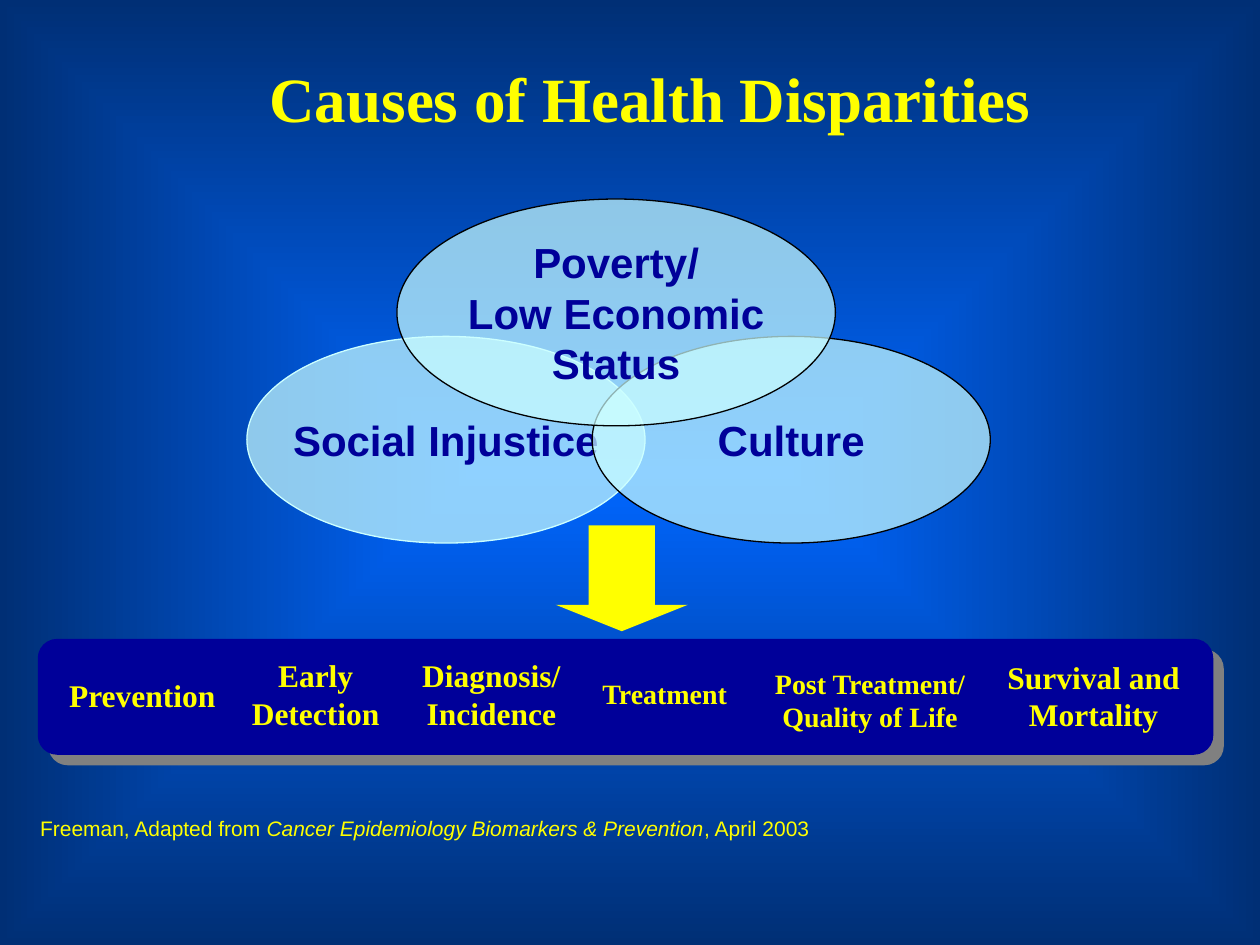
from lxml.etree import SubElement
from pptx import Presentation
from pptx.dml.color import RGBColor
from pptx.enum.shapes import MSO_SHAPE
from pptx.enum.text import MSO_ANCHOR, PP_ALIGN
from pptx.oxml import parse_xml
from pptx.oxml.ns import nsdecls, qn
from pptx.util import Inches, Pt

YELLOW, NAVY, PALE, BLACK = "FFFF00", "000099", "CCFFFF", "000000"
SERIF, SANS = "Times New Roman", "Arial"

TITLE = "Causes of Health Disparities"
# text, left, top, width, height, outline
CAUSES = [
    ("Social Injustice", 1.96, 2.67, 3.16, 1.64, PALE),
    ("Culture", 4.7, 2.67, 3.16, 1.64, BLACK),
    ("Poverty/\nLow Economic\nStatus", 3.15, 1.58, 3.48, 1.8, BLACK),
]
# text, left, top, width, height, size
CARE_STAGES = [
    ("Prevention", 0.45, 5.32, 1.58, 0.4, 18),
    ("Early Detection", 1.85, 5.16, 1.31, 0.7, 18),
    ("Diagnosis/\nIncidence", 2.91, 5.16, 1.98, 0.7, 18),
    ("Treatment", 4.62, 5.32, 1.31, 0.37, 16),
    ("Post Treatment/\nQuality of Life", 5.96, 5.24, 1.89, 0.64, 16),
    ("Survival and Mortality", 7.81, 5.17, 1.74, 0.7, 18),
]
CITATION = [
    ("Freeman, Adapted from ", False),
    ("Cancer Epidemiology Biomarkers & Prevention", True),
    (", April 2003", False),
]


def rgb(code):
    return RGBColor.from_string(code)


def add_run(paragraph, text, font, size, color, bold=False, italic=False):
    run = paragraph.add_run()
    run.text = text
    run.font.name, run.font.size = font, Pt(size)
    run.font.bold, run.font.italic = bold, italic
    run.font.color.rgb = rgb(color)


def add_lines(frame, text, font, size, color, align=PP_ALIGN.CENTER):
    """Fill one bold paragraph, with a line break at each newline."""
    paragraph = frame.paragraphs[0]
    paragraph.alignment = align
    for index, line in enumerate(text.split("\n")):
        if index:
            paragraph.add_line_break()
        add_run(paragraph, line, font, size, color, bold=True)


def add_solid(slide, preset, box, fill, outline=None):
    shape = slide.shapes.add_shape(preset, *map(Inches, box))
    shape.shadow.inherit = False
    shape.fill.solid()
    shape.fill.fore_color.rgb = rgb(fill)
    if outline:
        shape.line.color.rgb = rgb(outline)
        shape.line.width = Pt(0.75)
    else:
        shape.line.fill.background()
    return shape


def add_label(slide, box):
    frame = slide.shapes.add_textbox(*map(Inches, box)).text_frame
    frame.word_wrap = True
    return frame


def set_background(slide, center, edge):
    """Rectangular gradient from the slide's center to its edges."""
    slide.background.fill.gradient()
    properties = slide.background._cSld.bg.bgPr
    properties.replace(properties.find(qn("a:gradFill")), parse_xml(
        f'<a:gradFill {nsdecls("a")} rotWithShape="0"><a:gsLst>'
        f'<a:gs pos="0"><a:srgbClr val="{center}"/></a:gs>'
        f'<a:gs pos="100000"><a:srgbClr val="{edge}"/></a:gs></a:gsLst>'
        '<a:path path="rect"><a:fillToRect l="50000" t="50000" r="50000" b="50000"/>'
        '</a:path></a:gradFill>'))


def add_hard_shadow(shape, color, distance):
    effects = shape._element.spPr.find(qn("a:effectLst"))
    shadow = SubElement(effects, qn("a:outerShdw"), dist=str(int(Pt(distance))),
                        dir="2700000", algn="ctr", rotWithShape="0")
    SubElement(shadow, qn("a:srgbClr"), val=color)


def set_opacity(shape, percent):
    color = shape._element.spPr.find(qn("a:solidFill")).find(qn("a:srgbClr"))
    SubElement(color, qn("a:alpha"), val=str(percent * 1000))


def main():
    deck = Presentation()
    deck.slide_width, deck.slide_height = Inches(10), Inches(7.5)
    slide = deck.slides.add_slide(deck.slide_layouts[5])
    set_background(slide, "0066FF", "002F75")

    title = slide.shapes.title
    title.left, title.top = Inches(1.96), Inches(0.42)
    title.width, title.height = Inches(6.4), Inches(0.7)
    add_lines(title.text_frame, TITLE, SERIF, 36, YELLOW)

    bar = add_solid(slide, MSO_SHAPE.FLOWCHART_ALTERNATE_PROCESS,
                    (0.3, 5.07, 9.33, 0.92), NAVY)
    add_hard_shadow(bar, "808080", 8.5)
    for text, *box, size in CARE_STAGES:
        align = PP_ALIGN.LEFT if text == "Prevention" else PP_ALIGN.CENTER
        add_lines(add_label(slide, box), text, SERIF, size, YELLOW, align)

    for text, *box, outline in CAUSES:
        ellipse = add_solid(slide, MSO_SHAPE.OVAL, box, PALE, outline)
        set_opacity(ellipse, 70)
        frame = ellipse.text_frame
        frame.word_wrap = False
        frame.vertical_anchor = MSO_ANCHOR.MIDDLE
        add_lines(frame, text, SANS, 24, NAVY)

    arrow = add_solid(slide, MSO_SHAPE.DOWN_ARROW, (4.41, 4.17, 1.05, 0.84), YELLOW)
    arrow.adjustments[0], arrow.adjustments[1] = 0.5, 0.25

    source = add_label(slide, (0.22, 6.42, 7.24, 0.3)).paragraphs[0]
    for text, italic in CITATION:
        add_run(source, text, SANS, 12, YELLOW, italic=italic)

    deck.save("out.pptx")


if __name__ == "__main__":
    main()
